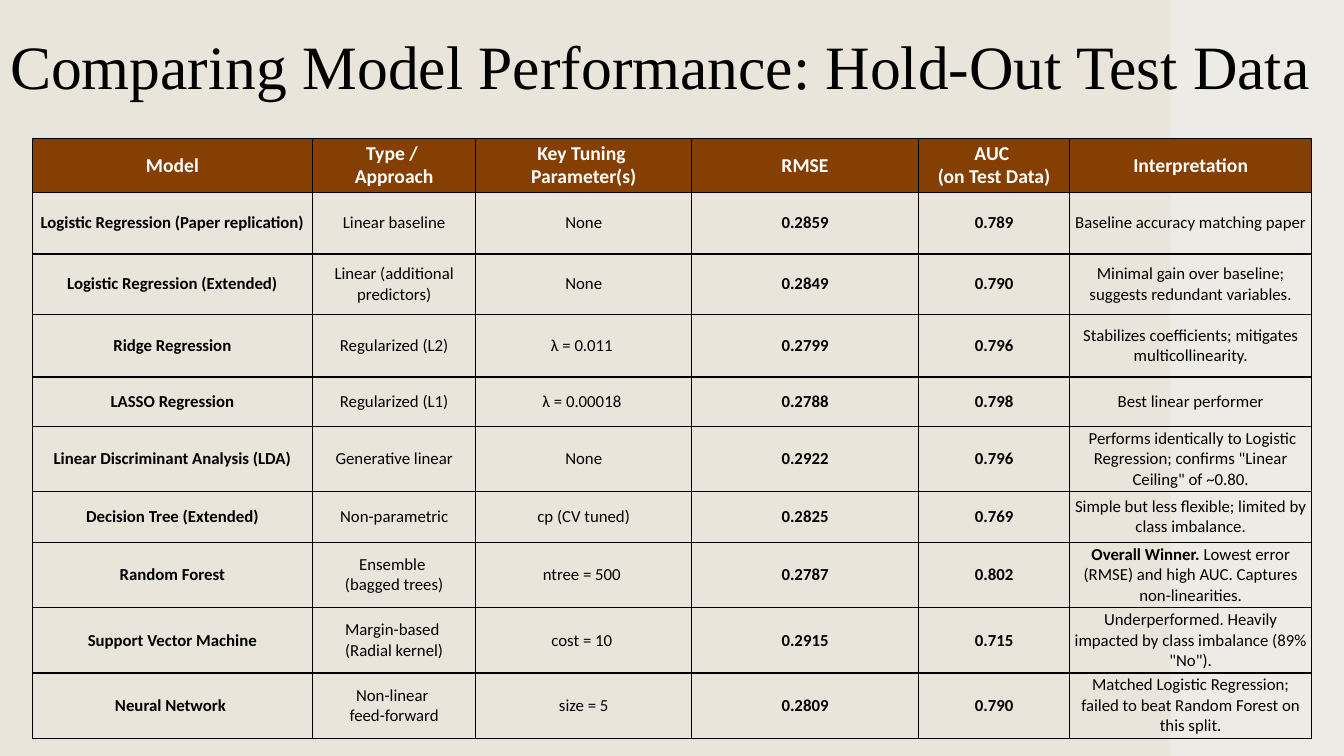
from lxml import etree
from pptx import Presentation
from pptx.dml.color import RGBColor
from pptx.enum.shapes import MSO_SHAPE
from pptx.enum.text import MSO_ANCHOR, PP_ALIGN
from pptx.oxml import parse_xml
from pptx.util import Inches, Pt

RECT = MSO_SHAPE.RECTANGLE
LEFT, CENTER = PP_ALIGN.LEFT, PP_ALIGN.CENTER
MIDDLE = MSO_ANCHOR.MIDDLE
NS = "http://schemas.openxmlformats.org/drawingml/2006/main"

COLS = [2.78, 1.62, 2.14, 2.25, 1.5, 2.4]
HEIGHTS = [0.54, 0.61, 0.6, 0.62, 0.49, 0.63, 0.5, 0.63, 0.63, 0.63]
BOLD_COLS = {0, 3, 4}
HEAD = ["Model", "Type / \nApproach", "Key Tuning \nParameter(s)", "RMSE",
        "AUC \n(on Test Data)", "Interpretation"]
MODELS = [
    ["Logistic Regression (Paper replication)", "Linear baseline", "None",
     "0.2859", "0.789", "Baseline accuracy matching paper"],
    ["Logistic Regression (Extended)", "Linear (additional predictors)", "None",
     "0.2849", "0.790",
     "Minimal gain over baseline; suggests redundant variables."],
    ["Ridge Regression", "Regularized (L2)", "λ = 0.011 ", "0.2799", "0.796",
     "Stabilizes coefficients; mitigates multicollinearity."],
    ["LASSO Regression", "Regularized (L1)", "λ = 0.00018 ", "0.2788", "0.798",
     "Best linear performer"],
    ["Linear Discriminant Analysis (LDA)", "Generative linear", "None",
     "0.2922", "0.796",
     " Performs identically to Logistic Regression; "
     "confirms \"Linear Ceiling\" of ~0.80."],
    ["Decision Tree (Extended)", "Non-parametric", "cp (CV tuned)",
     "0.2825", "0.769",
     "Simple but less flexible; limited by class imbalance."],
    ["Random Forest", "Ensemble \n(bagged trees)", "ntree = 500 ",
     "0.2787", "0.802",
     "*Overall Winner.* Lowest error (RMSE) and high AUC. "
     "Captures non-linearities."],
    ["Support Vector Machine", "Margin-based \n(Radial kernel)", "cost = 10 ",
     "0.2915", "0.715",
     "Underperformed. Heavily impacted by class imbalance (89% \"No\")."],
    ["Neural Network ", "Non-linear \nfeed-forward", "size = 5",
     "0.2809", "0.790",
     "Matched Logistic Regression; failed to beat Random Forest on this split."],
]


def color(code):
    return RGBColor.from_string(code)


def write(frame, text, size=12, font="Calibri", ink="000000", bold=False,
          align=CENTER):
    """Fill a text frame: newlines split paragraphs, *stars* flip bold."""
    for i, line in enumerate(text.split("\n")):
        para = frame.add_paragraph() if i else frame.paragraphs[0]
        para.alignment = align
        for j, part in enumerate(line.split("*")):
            if part:
                run = para.add_run()
                run.text = part
                run.font.size = Pt(size)
                run.font.name = font
                run.font.bold = bold != (j % 2 == 1)
                run.font.color.rgb = color(ink)


class Deck:
    ground, panel, accent, line = "E9E5DB", "EDEBE6", "853F03", "000000"

    def __init__(self):
        self.prs = Presentation()
        self.prs.slide_width = Inches(13.33)
        self.prs.slide_height = Inches(7.5)
        self.slide = self.prs.slides.add_slide(self.prs.slide_layouts[5])
        back = self.slide.background.fill
        back.solid()
        back.fore_color.rgb = color(self.ground)

    def block(self, x, y, w, h):
        shape = self.slide.shapes.add_shape(
            RECT, Inches(x), Inches(y), Inches(w), Inches(h))
        shape.shadow.inherit = False
        shape.fill.solid()
        shape.fill.fore_color.rgb = color(self.panel)
        shape.line.fill.background()

    def title(self, text, x, y, w, h):
        """Format the title placeholder and bring it to the front."""
        shape = self.slide.shapes.title
        shape.left, shape.top = Inches(x), Inches(y)
        shape.width, shape.height = Inches(w), Inches(h)
        frame = shape.text_frame
        frame.word_wrap = True
        frame.vertical_anchor = MIDDLE
        write(frame, text, size=44, font="Times New Roman", align=LEFT)
        self.slide.shapes._spTree.append(shape._element)

    def border(self, cell):
        props = cell._tc.get_or_add_tcPr()
        for side in "LRTB":
            props.append(parse_xml(
                f'<a:ln{side} xmlns:a="{NS}" w="{Pt(1)}"><a:solidFill>'
                f'<a:srgbClr val="{self.line}"/></a:solidFill></a:ln{side}>'))

    def cell(self, cell, text, head, bold):
        cell.margin_left = cell.margin_right = Inches(0.03)
        cell.margin_top = cell.margin_bottom = Inches(0.02)
        cell.vertical_anchor = MIDDLE
        self.border(cell)
        if head:
            cell.fill.solid()
            cell.fill.fore_color.rgb = color(self.accent)
            write(cell.text_frame, text, size=14, ink="FFFFFF", bold=True)
        else:
            cell.fill.background()
            write(cell.text_frame, text, bold=bold)

    def table(self, rows, x, y):
        grid = self.slide.shapes.add_table(
            len(rows), len(COLS), Inches(x), Inches(y),
            Inches(sum(COLS)), Inches(sum(HEIGHTS))).table
        grid.horz_banding = False
        for col, width in zip(grid.columns, COLS):
            col.width = Inches(width)
        for r, (row, height) in enumerate(zip(rows, HEIGHTS)):
            grid.rows[r].height = Inches(height)
            for c, text in enumerate(row):
                self.cell(grid.cell(r, c), text, r == 0, c in BOLD_COLS)


def main():
    deck = Deck()
    deck.block(11.61, 0, 1.72, 7.5)
    deck.table([HEAD] + MODELS, 0.32, 1.37)
    deck.title("Comparing\u00a0Model Performance: Hold-Out Test Data".replace("\u00a0", " "),
               0, 0.22, 13.33, 0.84)
    deck.prs.save("out.pptx")


if __name__ == "__main__":
    main()
